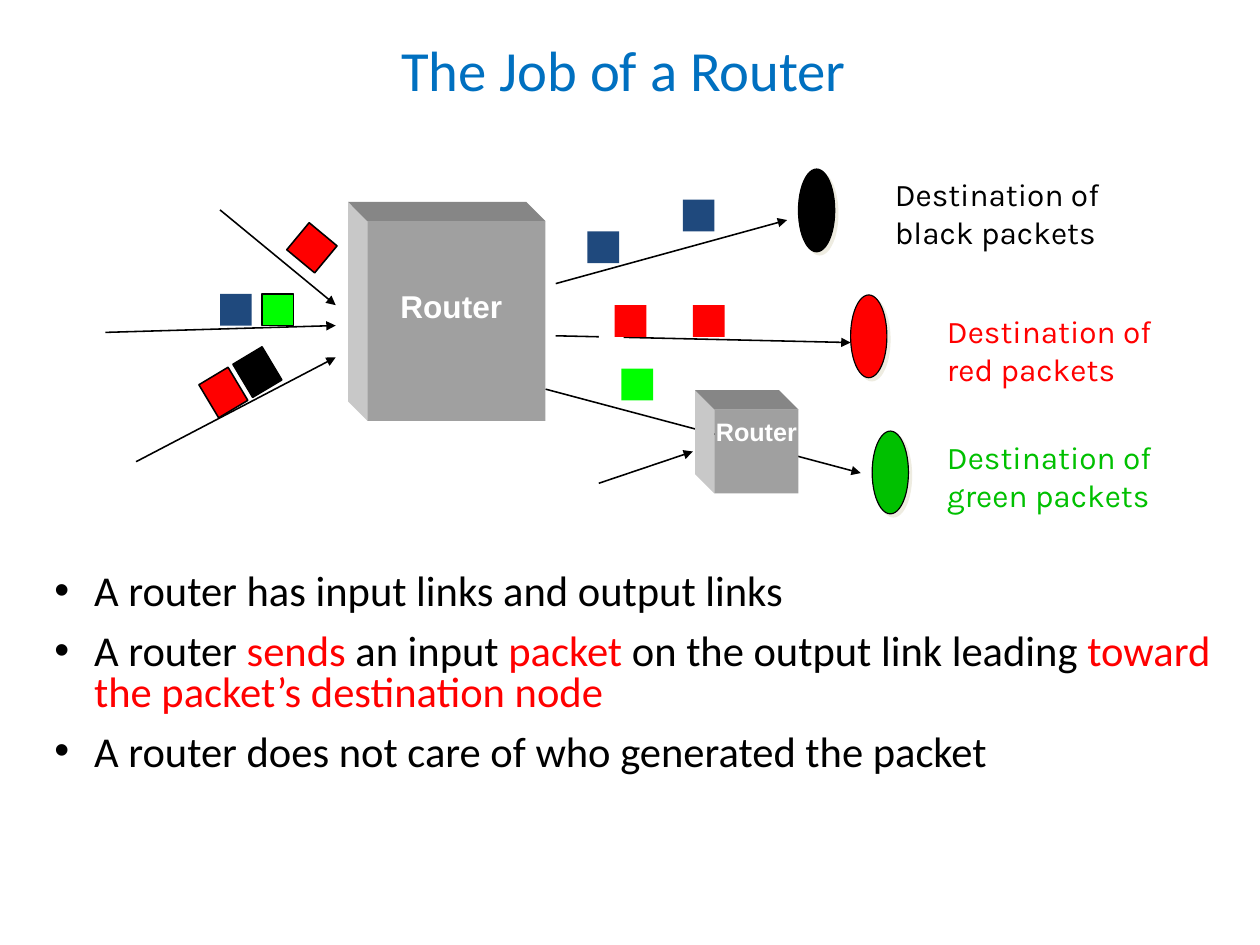
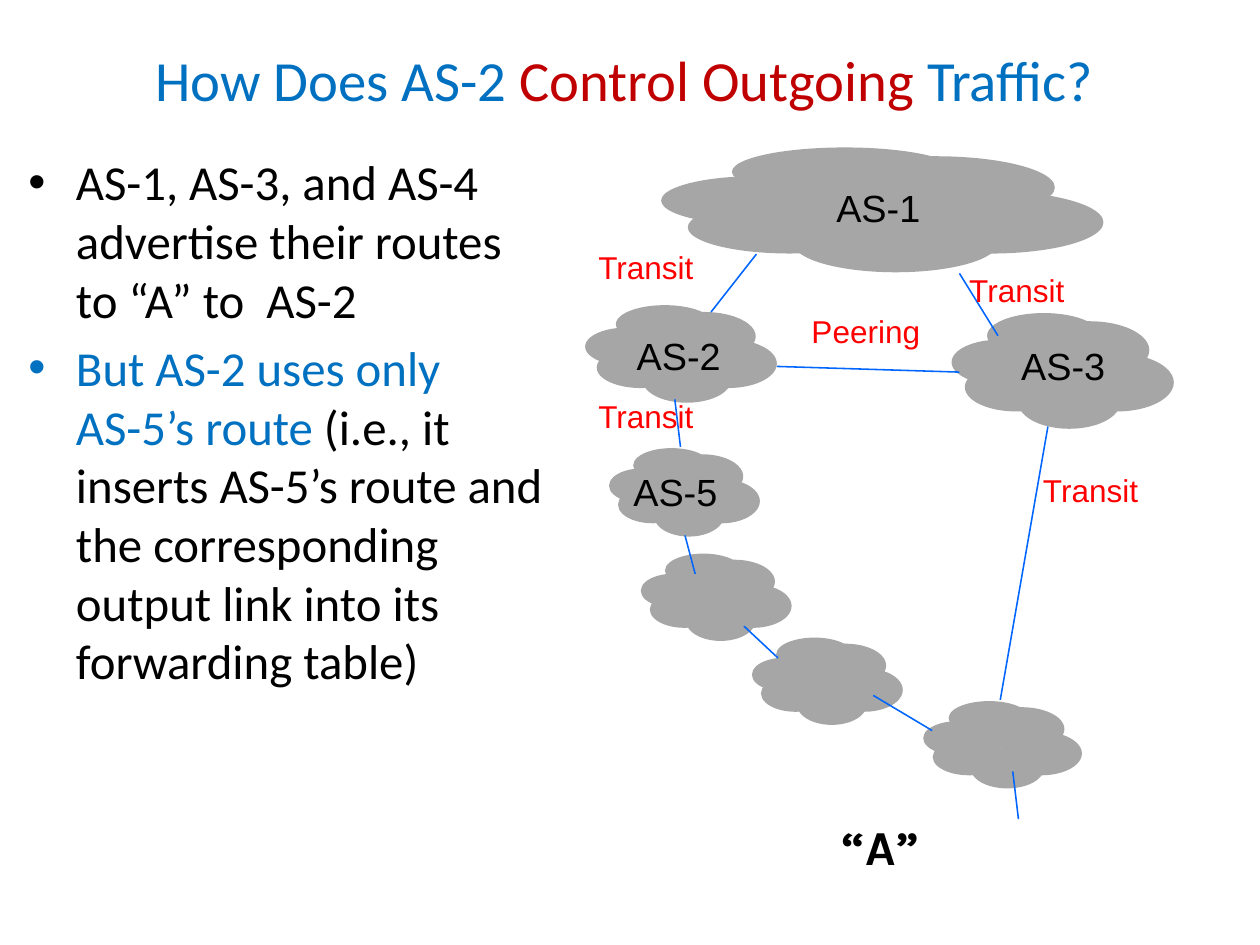
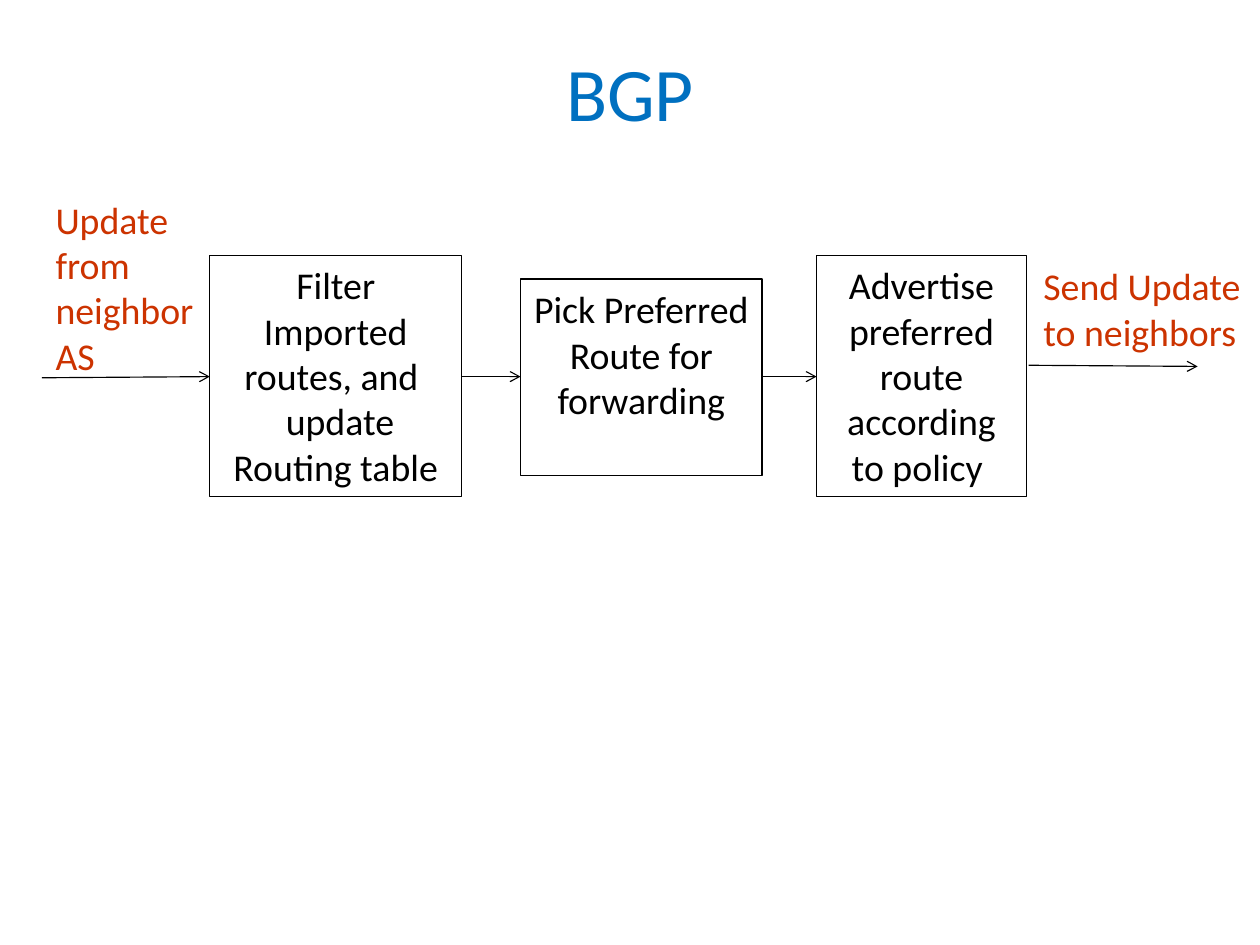
from dataclasses import dataclass
from typing import NamedTuple

from lxml.etree import SubElement
from pptx import Presentation
from pptx.dml.color import RGBColor
from pptx.enum.shapes import MSO_CONNECTOR, MSO_SHAPE
from pptx.enum.text import MSO_ANCHOR, MSO_AUTO_SIZE, PP_ALIGN
from pptx.oxml.ns import qn
from pptx.shapes.autoshape import Shape
from pptx.slide import Slide
from pptx.text.text import TextFrame
from pptx.util import Inches, Pt

# Shared style
COLORS = {
    "title": "0070C0", "accent": "C00000", "black": "000000",
    "white": "FFFFFF", "red": "FF0000", "navy": "1F497D",
    "lime": "00FF00", "green": "00C000", "cloud": "A6A6A6",
    "link": "0066FF", "rust": "CC3300", "shade": "EEECE1",
    "front": "A0A0A0", "side": "C8C8C8", "top": "868686",
}
BODY, SANS, NOTE = "Calibri", "Arial", "Karla"


class Box(NamedTuple):
    left: float
    top: float
    width: float
    height: float


class Span(NamedTuple):
    text: str
    color: str = "black"


@dataclass
class Line:
    start: tuple[float, float]
    end: tuple[float, float]
    color: str = "black"
    width: float = 1
    tip: str = "triangle"


@dataclass
class Packet:
    box: Box
    color: str
    turn: float = 0
    edge: float = 0


@dataclass
class Label:
    box: Box
    text: str
    size: float = 20
    font: str = SANS
    color: str = "black"
    align: PP_ALIGN = PP_ALIGN.CENTER
    bold: bool = False
    wrap: bool = True


def rgb(name: str) -> RGBColor:
    return RGBColor.from_string(COLORS[name])


# Text
def set_frame(frame: TextFrame, wrap: bool = True) -> None:
    frame.auto_size = MSO_AUTO_SIZE.NONE
    frame.word_wrap = wrap
    frame.margin_left = frame.margin_right = Inches(0.11)
    frame.margin_top = frame.margin_bottom = Inches(0.06)


def add_spans(para, spans: list[Span], size: float) -> None:
    for span in spans:
        run = para.add_run()
        run.text = span.text
        run.font.name, run.font.size = BODY, Pt(size)
        run.font.color.rgb = rgb(span.color)


def place(shape: Shape, box: Box) -> None:
    shape.left, shape.top, shape.width, shape.height = map(Inches, box)


def set_title(slide: Slide, spans: list[Span], left: float, top: float,
              width: float, size: float = 36) -> None:
    title = slide.shapes.title
    place(title, Box(left, top, width, 1.39))
    set_frame(title.text_frame)
    title.text_frame.vertical_anchor = MSO_ANCHOR.MIDDLE
    para = title.text_frame.paragraphs[0]
    para.alignment = PP_ALIGN.CENTER
    add_spans(para, spans, size)


def set_list(slide: Slide, box: Box, items: list[list[Span]], size: float,
             indent: float, space: float = 1, after: float = 0) -> None:
    body = slide.placeholders[1]
    place(body, box)
    frame = body.text_frame
    set_frame(frame)
    for i, spans in enumerate(items):
        para = frame.add_paragraph() if i else frame.paragraphs[0]
        para.line_spacing, para.space_after = space, Pt(after)
        props = para._p.get_or_add_pPr()
        props.set("marL", str(Inches(indent)))
        props.set("indent", str(-Inches(indent)))
        add_spans(para, spans, size)


def fill_text(frame: TextFrame, label: Label) -> None:
    set_frame(frame, label.wrap)
    frame.vertical_anchor = MSO_ANCHOR.TOP
    frame.text = label.text
    for para in frame.paragraphs:
        para.alignment = label.align
        for run in para.runs:
            font = run.font
            font.name, font.size, font.bold = label.font, Pt(label.size), label.bold
            font.color.rgb = rgb(label.color)


def add_label(slide: Slide, label: Label) -> None:
    fill_text(slide.shapes.add_textbox(*map(Inches, label.box)).text_frame, label)


# Shapes and lines
def paint(shape: Shape, color: str, edge: float = 0) -> None:
    shape.shadow.inherit = False
    shape.fill.solid()
    shape.fill.fore_color.rgb = rgb(color)
    if edge:
        shape.line.color.rgb = rgb("black")
        shape.line.width = Pt(edge)
    else:
        shape.line.fill.background()


def add_form(slide: Slide, kind: MSO_SHAPE, box: Box, color: str,
             edge: float = 0) -> Shape:
    shape = slide.shapes.add_shape(kind, *map(Inches, box))
    paint(shape, color, edge)
    return shape


def add_line(slide: Slide, line: Line) -> None:
    ends = map(Inches, (*line.start, *line.end))
    wire = slide.shapes.add_connector(MSO_CONNECTOR.STRAIGHT, *ends)
    wire.line.color.rgb = rgb(line.color)
    wire.line.width = Pt(line.width)
    if line.tip:
        SubElement(wire.line._get_or_add_ln(), qn("a:tailEnd"), type=line.tip)
    SubElement(wire._element.spPr, qn("a:effectLst"))


def add_packet(slide: Slide, packet: Packet) -> None:
    shape = add_form(slide, MSO_SHAPE.RECTANGLE, packet.box, packet.color, packet.edge)
    shape.rotation = packet.turn


def add_face(slide: Slide, points: list[tuple[float, float]], color: str) -> None:
    first, *rest = [(Inches(x), Inches(y)) for x, y in points]
    form = slide.shapes.build_freeform(*first)
    form.add_line_segments(rest)
    paint(form.convert_to_shape(), color)


def add_block(slide: Slide, box: Box, depth: float = 0.17) -> None:
    x, y, w, h = box
    back = (x - depth, y - depth)
    add_face(slide, [(x, y), back, (x - depth, y + h - depth), (x, y + h)], "side")
    add_face(slide, [(x, y), back, (x + w - depth, y - depth), (x + w, y)], "top")
    add_form(slide, MSO_SHAPE.RECTANGLE, box, "front")


def add_node(slide: Slide, left: float, top: float, color: str) -> None:
    node = add_form(slide, MSO_SHAPE.OVAL, Box(left, top, 0.32, 0.73), color, 0.75)
    effects = node._element.spPr.find(qn("a:effectLst"))
    shade = SubElement(effects, qn("a:outerShdw"), dist=str(Pt(2.8)), dir="2700000")
    SubElement(shade, qn("a:srgbClr"), val=COLORS["shade"])


# Cloud lobes as shares of the cloud's box
LOBES = [
    Box(0, 0.23, 0.43, 0.39), Box(0.16, 0, 0.51, 0.39),
    Box(0.35, 0.07, 0.54, 0.5), Box(0.49, 0.35, 0.51, 0.5),
    Box(0.3, 0.54, 0.46, 0.46), Box(0.06, 0.43, 0.46, 0.42),
]


def add_cloud(slide: Slide, box: Box) -> None:
    for x, y, w, h in LOBES:
        lobe = Box(box.left + x * box.width, box.top + y * box.height,
                   w * box.width, h * box.height)
        add_form(slide, MSO_SHAPE.OVAL, lobe, "cloud")


deck = Presentation()
deck.slide_width, deck.slide_height = Inches(11.11), Inches(8.33)
LISTED, PLAIN = deck.slide_layouts[1], deck.slide_layouts[5]


# Slide 1: router
def draw_router() -> None:
    slide = deck.slides.add_slide(LISTED)
    set_title(slide, [Span("The Job of a Router ", "title")], 0, -0.09, 11.11)
    set_list(slide, Box(0.37, 5, 10.56, 2.59), [
        [Span("A router has input links and output links")],
        [Span("A router "), Span("sends", "red"), Span(" an input "),
         Span("packet", "red"), Span(" on the output link leading "),
         Span("toward the packet’s destination node", "red")],
        [Span("A router does not care of who generated the packet")],
    ], 27, 0.35, 0.8, 6.7)

    # Links and large router
    for start, end in [
        ((4.81, 3.43), (7.59, 4.17)), ((4.9, 2.96), (7.5, 3.02)),
        ((1.94, 1.85), (2.96, 2.69)), ((0.93, 2.93), (2.96, 2.87)),
        ((1.2, 4.07), (2.96, 3.15)), ((4.9, 2.5), (6.94, 1.94)),
        ((5.28, 4.26), (6.11, 3.98)),
    ]:
        add_line(slide, Line(start, end))
    add_block(slide, Box(3.24, 1.95, 1.57, 1.76))
    add_label(slide, Label(Box(3.33, 2.47, 1.3, 0.45), "Router", color="white", bold=True))

    # Packets, with a gap in the middle link
    side = 0.28
    for packet in [
        Packet(Box(5.28, 2.67, 0.22, 0.52), "white"),
        Packet(Box(5.18, 2.04, side, side), "navy"),
        Packet(Box(6.02, 1.76, side, side), "navy"),
        Packet(Box(5.42, 2.69, side, side), "red"),
        Packet(Box(6.11, 2.69, side, side), "red"),
        Packet(Box(5.48, 3.25, side, side), "lime"),
        Packet(Box(1.94, 2.59, side, side), "navy"),
        Packet(Box(2.31, 2.59, side, side), "lime", edge=1),
        Packet(Box(2.59, 2.03, 0.32, 0.31), "red", 39.7, 1),
        Packet(Box(2.12, 3.11, 0.3, 0.34), "black", 329.1, 1),
        Packet(Box(1.82, 3.29, 0.3, 0.34), "red", 329.1, 1),
    ]:
        add_packet(slide, packet)

    # Small router
    add_block(slide, Box(6.3, 3.61, 0.74, 0.74))
    add_label(slide, Label(Box(6.02, 3.61, 1.3, 0.38), "Router", 16,
                           color="white", bold=True))

    # Destinations
    for left, top, color, name, box in [
        (7.04, 1.49, "black", "black", Box(7.78, 1.48, 2.59, 0.79)),
        (7.5, 2.6, "red", "red", Box(8.24, 2.69, 2.31, 0.79)),
        (7.69, 3.8, "green", "green", Box(8.24, 3.8, 2.41, 0.79)),
    ]:
        add_node(slide, left, top, color)
        add_label(slide, Label(box, f"Destination of {name} packets", 20, NOTE,
                               color, PP_ALIGN.LEFT))


# Slide 2: outgoing traffic
def draw_routes() -> None:
    slide = deck.slides.add_slide(LISTED)
    set_title(slide, [Span("How Does AS-2 ", "title"),
                      Span("Control Outgoing ", "accent"),
                      Span("Traffic? ", "title")], 0.28, 0, 10.56)
    set_list(slide, Box(0.14, 1.28, 4.83, 6.23), [
        [Span("AS-1, AS-3, and AS-4 advertise their routes to “A” to  AS-2")],
        [Span("But AS-2 uses only AS-5’s route ", "title"),
         Span("(i.e., it inserts AS-5’s route and the corresponding "
              "output link into its forwarding table)")],
    ], 31, 0.42)

    # Clouds
    for cloud in [
        Box(5.83, 1.3, 3.9, 1.1), Box(5.16, 2.69, 1.69, 0.86),
        Box(8.39, 2.76, 1.96, 1.02), Box(5.37, 3.95, 1.33, 0.78),
        Box(5.65, 4.88, 1.33, 0.77), Box(6.63, 5.62, 1.33, 0.77),
        Box(8.14, 6.18, 1.4, 0.77),
    ]:
        add_cloud(slide, cloud)

    # Links
    for start, end in [
        ((6.67, 2.24), (6.27, 2.75)), ((8.46, 3.28), (6.85, 3.23)),
        ((8.46, 2.41), (8.8, 2.96)), ((9.24, 3.76), (8.82, 6.17)),
        ((5.95, 3.52), (6, 3.94)), ((6.04, 4.72), (6.13, 5.06)),
        ((6.56, 5.52), (6.86, 5.8)), ((7.7, 6.13), (8.22, 6.44)),
        ((8.93, 6.8), (8.98, 7.22)),
    ]:
        add_line(slide, Line(start, end, "link", tip=""))

    # Names
    for text, left, top in [("AS-1", 7.26, 1.57), ("AS-2", 5.5, 2.87),
                            ("AS-3", 8.89, 2.96), ("AS-5", 5.47, 4.07)]:
        add_label(slide, Label(Box(left, top, 0.97, 0.52), text, 24, wrap=False))
    for text, left, top in [("Transit", 4.54, 2.13), ("Peering", 6.48, 2.69),
                            ("Transit ", 7.85, 2.33), ("Transit", 4.54, 3.44),
                            ("Transit ", 8.5, 4.09)]:
        add_label(slide, Label(Box(left, top, 2.31, 0.45), text, color="red"))
    add_label(slide, Label(Box(7.31, 7.14, 1.13, 0.64), "“A”", 31, NOTE,
                           align=PP_ALIGN.LEFT, bold=True))


# Slide 3: update steps
def draw_steps() -> None:
    slide = deck.slides.add_slide(PLAIN)
    set_title(slide, [Span("BGP", "title")], 0, 0.11, 11.11, 48)
    for box, text in [
        (Box(1.85, 2.25, 2.22, 2.13),
         "Filter Imported routes, and \n update Routing table"),
        (Box(4.59, 2.46, 2.13, 1.73), "Pick Preferred Route for forwarding"),
        (Box(7.2, 2.25, 1.85, 2.13), "Advertise preferred route according to policy "),
    ]:
        step = add_form(slide, MSO_SHAPE.RECTANGLE, box, "white", 0.75)
        fill_text(step.text_frame, Label(box, text, 24, BODY))
    for box, text in [
        (Box(0.38, 1.67, 1.76, 1.73), "Update from neighbor AS"),
        (Box(9.09, 2.26, 2.13, 0.94), "Send Update to neighbors"),
    ]:
        add_label(slide, Label(box, text, 24, BODY, "rust", PP_ALIGN.LEFT))
    for start, end in [
        ((0.37, 3.33), (1.85, 3.32)), ((4.07, 3.32), (4.59, 3.32)),
        ((6.72, 3.32), (7.2, 3.32)), ((9.07, 3.22), (10.56, 3.23)),
    ]:
        add_line(slide, Line(start, end, width=0.75, tip="arrow"))


draw_router()
draw_routes()
draw_steps()
deck.save("out.pptx")
